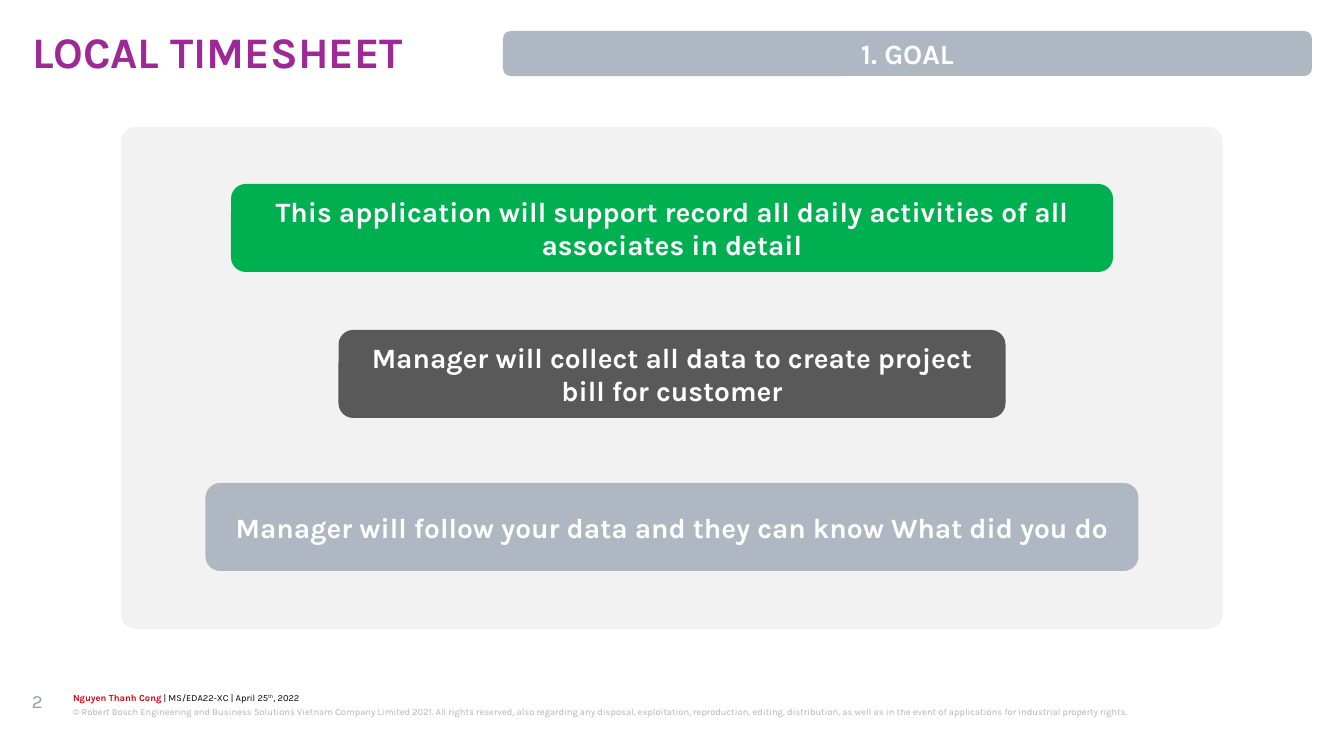
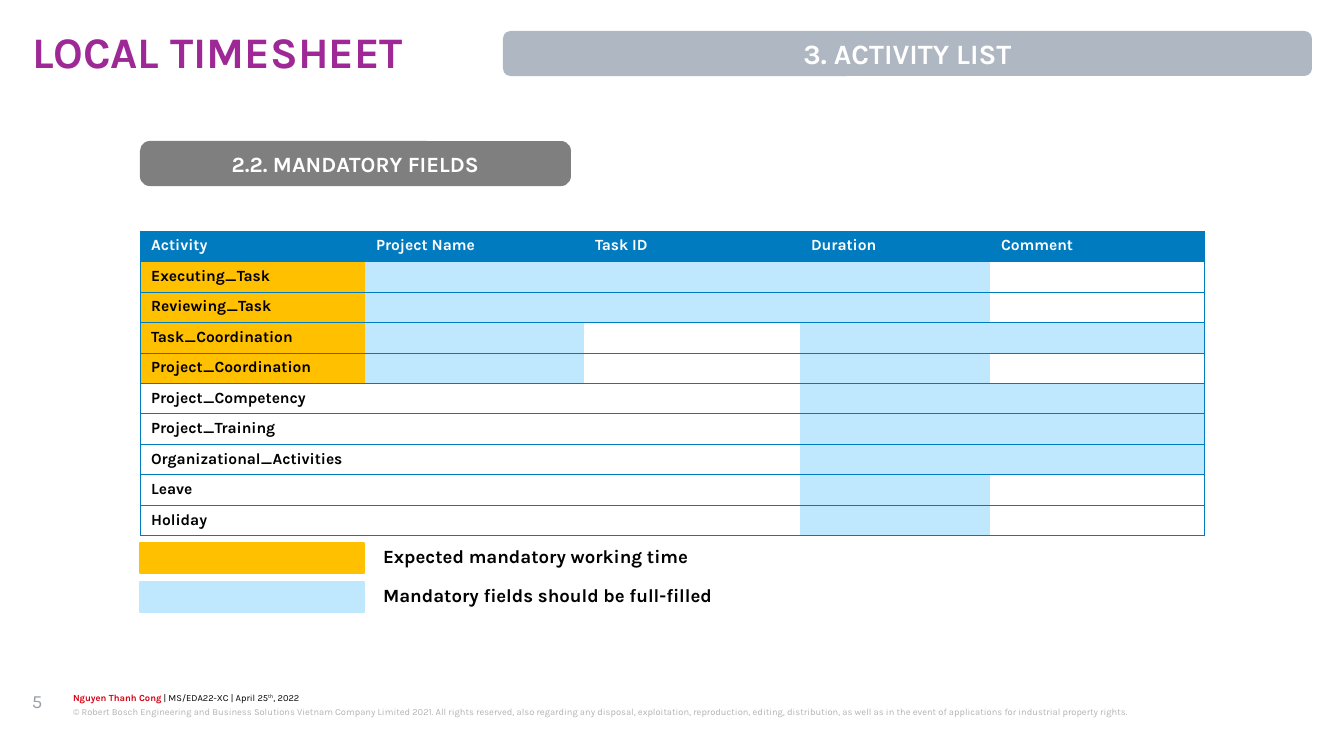
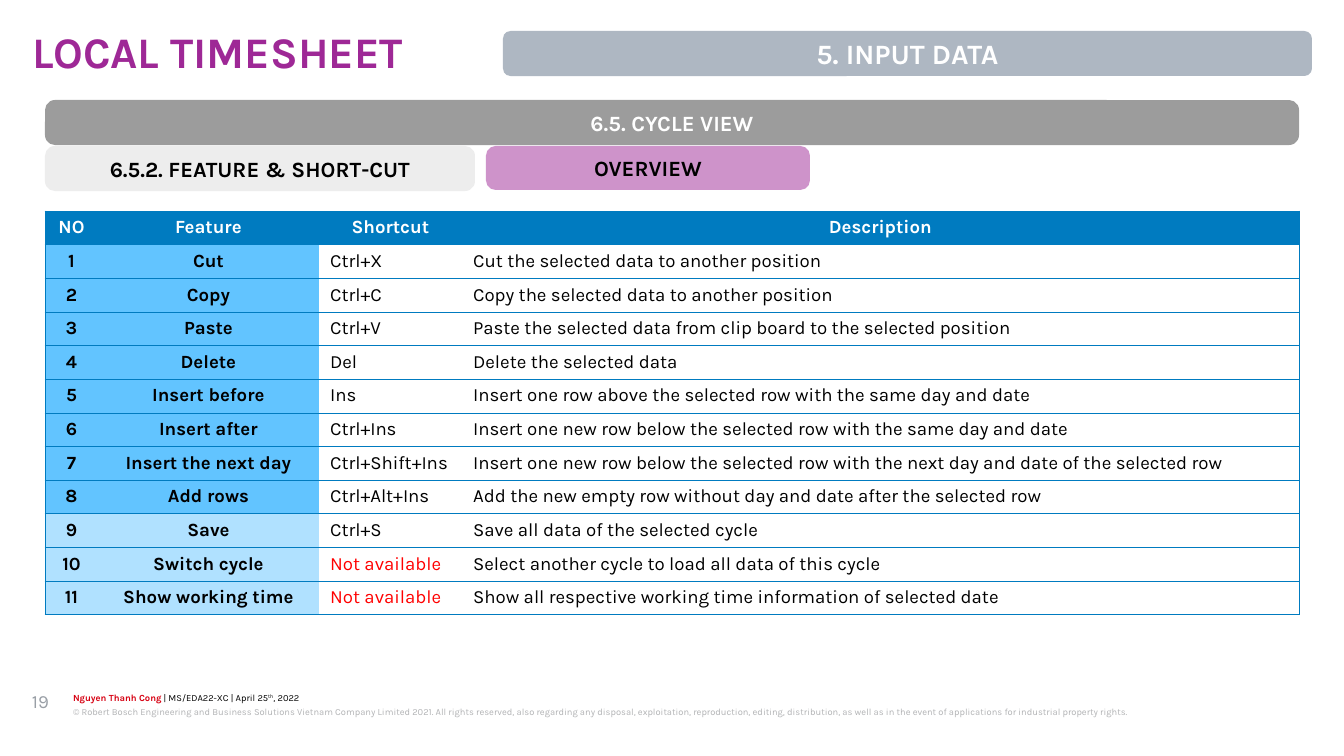
from lxml import etree
from pptx import Presentation
from pptx.dml.color import RGBColor
from pptx.enum.shapes import MSO_SHAPE
from pptx.enum.text import MSO_ANCHOR, PP_ALIGN
from pptx.oxml.ns import qn
from pptx.util import Emu, Pt

ROUND, RECT = MSO_SHAPE.ROUNDED_RECTANGLE, MSO_SHAPE.RECTANGLE
LEFT, MID = PP_ALIGN.LEFT, PP_ALIGN.CENTER
CENTER = MSO_ANCHOR.MIDDLE
SCALE = 914400 / 112
FONT = "Karla"
PLAIN = "{2D5ABB26-0587-4C30-8999-92F81FD0307C}"

HUES = {
    "white": "FFFFFF", "black": "000000", "purple": "9E2896", "steel": "AEB7C2",
    "panel": "F2F2F2", "green": "00B050", "dark": "595959", "silver": "D1D1D3",
    "red": "FF0000", "name": "D70012", "legal": "B2B3B5", "page": "999FA6",
    "blue": "007BC0", "gold": "FFC000", "ice": "BFE8FF", "sky": "62C4FF",
    "pale": "B0E1FF",
}
PAINT = {"h": "blue", "g": "gold", "i": "ice", "s": "sky", "p": "pale"}


def write(frame, runs, size, align=LEFT, **form):
    para = frame.paragraphs[0]
    for key, val in {"alignment": align, **form}.items():
        setattr(para, key, val)
    for text, hue, bold in runs:
        run = para.add_run()
        run.text = text
        for key, val in {"name": FONT, "size": Pt(size), "bold": bold}.items():
            setattr(run.font, key, val)
        run.font.color.rgb = RGBColor.from_string(HUES[hue])
    return para


def box(slide, at, fill=None, kind=ROUND, adj=None, alpha=None):
    place = [Emu(round(v * SCALE)) for v in at]
    if fill is None:
        shape = slide.shapes.add_textbox(*place)
        frame = shape.text_frame
        for side in ("left", "top", "right", "bottom"):
            setattr(frame, "margin_" + side, 0)
    else:
        shape = slide.shapes.add_shape(kind, *place)
        shape.shadow.inherit = False
        shape.fill.solid()
        shape.fill.fore_color.rgb = RGBColor.from_string(HUES[fill])
        shape.line.fill.background()
        frame = shape.text_frame
        frame.vertical_anchor = CENTER
        if adj:
            shape.adjustments[0] = adj
        if alpha:
            tone = shape._element.spPr.find(qn("a:solidFill"))[0]
            etree.SubElement(tone, qn("a:alpha"), val=str(alpha * 1000))
    frame.word_wrap = True
    return shape


deck = Presentation()
deck.slide_width = Emu(round(1344 * SCALE))
deck.slide_height = Emu(round(756 * SCALE))

pages = []
for num, head in (("2", "1. GOAL"), ("5", "3. ACTIVITY LIST"), ("19", "5. INPUT DATA")):
    page = deck.slides.add_slide(deck.slide_layouts[6])
    pages.append(page)
    by = [("Nguyen Thanh Cong", "name", True),
          (" | MS/EDA22-XC | April 25", "black", False),
          ("th", "black", False), (", 2022", "black", False)]
    para = write(box(page, (73, 691, 1121, 14)).text_frame, by, 6,
                 line_spacing=1.07, space_after=Pt(1))
    para.runs[2]._r.get_or_add_rPr().set("baseline", "30000")
    legal = (
        "© Robert Bosch Engineering and Business Solutions Vietnam Company Limited 2021. "
        "All rights reserved, also regarding any disposal, exploitation, reproduction, "
        "editing, distribution, as well as in the event of applications for industrial "
        "property rights.")
    write(box(page, (73, 704, 1121, 27)).text_frame, [(legal, "legal", False)], 6,
          line_spacing=1.2, space_after=Pt(1))
    write(box(page, (32, 31, 1280, 48)).text_frame,
          [("LOCAL TIMESHEET", "purple", True)], 28, line_spacing=0.89)
    write(box(page, (32, 690, 36, 50)).text_frame, [(num, "page", False)], 12)
    write(box(page, (503, 31, 809, 45), "steel").text_frame,
          [(head, "white", True)], 18, MID)
goal, fields, cycle = pages

box(goal, (121, 127, 1102, 502), "panel", adj=0.03)
for top, wide, fill, text in (
    (184, 882, "green",
     "This application will support record all daily activities of all associates in detail"),
    (330, 667, "dark", "Manager will collect all data to create project bill for customer"),
    (483, 933, "steel", "Manager will follow your data and they can know What did you do"),
):
    shape = box(goal, (672 - wide / 2, top, wide, 88), fill)
    write(shape.text_frame, [(text, "white", True)], 18, MID)

for page, at, fill, alpha, hue, text in (
    (fields, (140, 141, 431, 45), "black", 50, "white", "2.2. MANDATORY FIELDS"),
    (cycle, (45, 100, 1254, 45), "black", 39, "white", "6.5. CYCLE VIEW"),
    (cycle, (45, 146, 430, 45), "silver", 39, "black", "6.5.2. FEATURE & SHORT-CUT"),
    (cycle, (486, 146, 324, 44), "purple", 50, "black", "OVERVIEW"),
):
    shape = box(page, at, fill, adj=0.22, alpha=alpha)
    write(shape.text_frame, [(text, hue, True)], 14, MID)

for top, fill, text in (
    (543, "gold", "Expected mandatory working time"),
    (582, "ice", "Mandatory fields should be full-filled"),
):
    key = box(fields, (140, top, 224, 30), fill, RECT)
    key.line.color.rgb = RGBColor.from_string(HUES[fill])
    key.line.width = Pt(1)
    write(box(fields, (383, top + 2, 343, 30)).text_frame, [(text, "black", True)], 12)

tasks = [
    ("hhhhh", ("Activity", "Project Name", "Task ID", "Duration", "Comment")),
    ("giii.", ("Executing_Task",)),
    ("giii.", ("Reviewing_Task",)),
    ("gi.ii", ("Task_Coordination",)),
    ("gi.i.", ("Project_Coordination",)),
    ("...ii", ("Project_Competency",)),
    ("...ii", ("Project_Training",)),
    ("...ii", ("Organizational_Activities",)),
    ("...i.", ("Leave",)),
    ("...i.", ("Holiday",)),
]
keys = [
    ("Cut", "Ctrl+X", "Cut the selected data to another position"),
    ("Copy", "Ctrl+C", "Copy the selected data to another position"),
    ("Paste", "Ctrl+V", "Paste the selected data from clip board to the selected position"),
    ("Delete", "Del", "Delete the selected data"),
    ("Insert before", "Ins", "Insert one row above the selected row with the same day and date"),
    ("Insert after", "Ctrl+Ins",
     "Insert one new row below the selected row with the same day and date"),
    ("Insert the next day", "Ctrl+Shift+Ins",
     "Insert one new row below the selected row with the next day and date of the selected row"),
    ("Add rows", "Ctrl+Alt+Ins",
     "Add the new empty row without day and date after the selected row"),
    ("Save", "Ctrl+S", "Save all data of the selected cycle"),
    ("Switch cycle", "Not available", "Select another cycle to load all data of this cycle"),
    ("Show working time", "Not available",
     "Show all respective working time information of selected date"),
]
cuts = [("hhhh", ("NO", "Feature", "Shortcut", "Description"))]
for num, row in enumerate(keys, 1):
    cuts.append(("ss.." if num < 9 else "pp..", (str(num), *row)))

for page, left, top, high, wides, rows, size, bolds, mids in (
    (fields, 140, 231, 305, (225, 219, 216, 190, 214), tasks, 10, 5, 0),
    (cycle, 45, 211, 397, (53, 221, 143, 837), cuts, 12, 2, 2),
):
    place = [Emu(round(v * SCALE)) for v in (left, top, sum(wides), high)]
    grid = page.shapes.add_table(len(rows), len(wides), *place)
    grid._element.find(".//" + qn("a:tableStyleId")).text = PLAIN
    table = grid.table
    table.horz_banding = False
    for col, wide in zip(table.columns, wides):
        col.width = Emu(round(wide * SCALE))
    for r, (fills, texts) in enumerate(rows):
        table.rows[r].height = Emu(round(high * SCALE / len(rows)))
        for c, code in enumerate(fills):
            cell = table.cell(r, c)
            sides = ["lnT", "lnB"]
            if c == len(wides) - 1:
                sides.insert(0, "lnR")
            if c == 0:
                sides.insert(0, "lnL")
            props = cell._tc.get_or_add_tcPr()
            for side in sides:
                edge = etree.SubElement(props, qn("a:" + side), w="6350")
                ink = etree.SubElement(edge, qn("a:solidFill"))
                etree.SubElement(ink, qn("a:srgbClr"), val=HUES["blue"])
            if code in PAINT:
                cell.fill.solid()
                cell.fill.fore_color.rgb = RGBColor.from_string(HUES[PAINT[code]])
            else:
                cell.fill.background()
            if c < len(texts):
                text = texts[c]
                hue = "white" if r == 0 else "red" if text == "Not available" else "black"
                align = MID if c < mids or (mids and r == 0) else LEFT
                write(cell.text_frame, [(text, hue, r == 0 or c < bolds)], size, align)
            else:
                para = cell.text_frame.paragraphs[0]
                etree.SubElement(para._p, qn("a:endParaRPr"), sz=str(size * 100))

deck.save("out.pptx")
